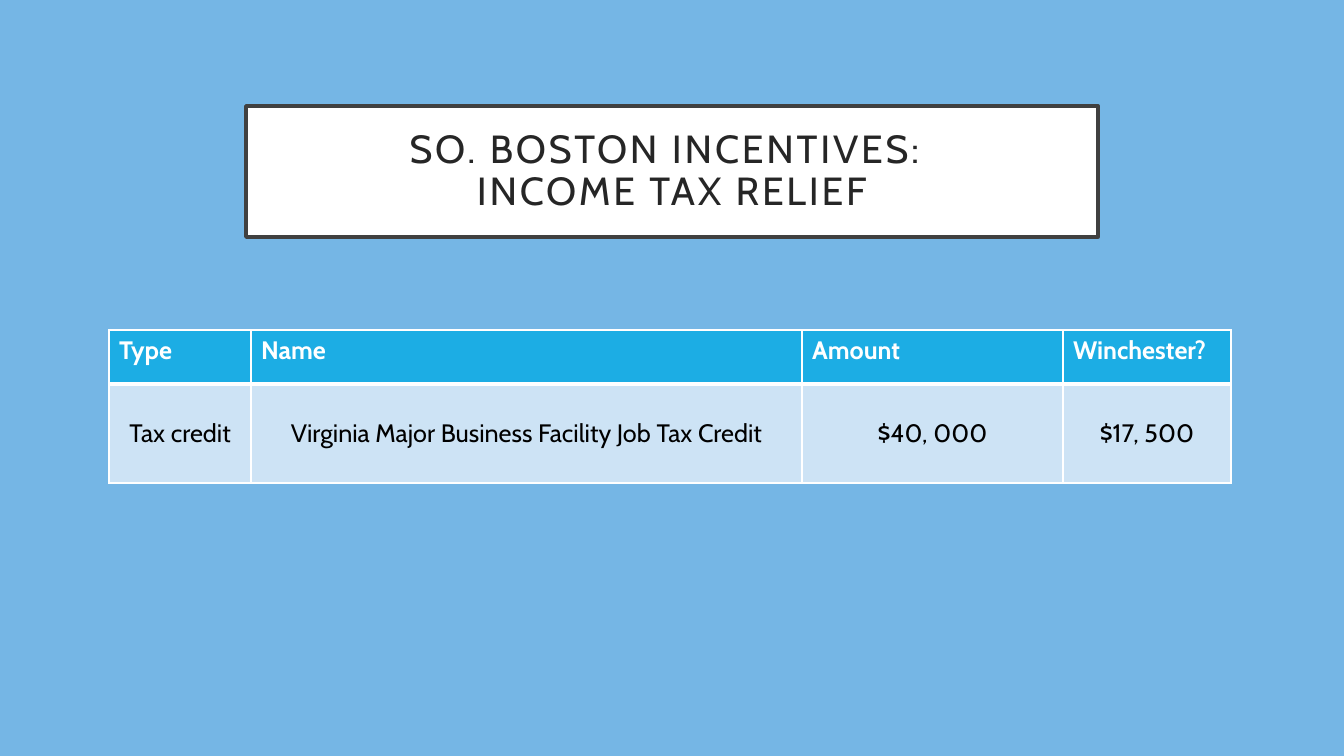
import pptx
import pptx.util
from lxml import etree
from pptx.dml.color import RGBColor
from pptx.enum.text import MSO_ANCHOR, MSO_AUTO_SIZE, PP_ALIGN
from pptx.oxml.ns import qn

PX = 914400 / 100.8
FONT = "Cabin"
SKY = RGBColor(0x75, 0xB6, 0xE5)
WHITE = RGBColor(0xFF, 0xFF, 0xFF)
BLACK = RGBColor(0x00, 0x00, 0x00)
INK = RGBColor(0x26, 0x26, 0x26)
FRAME = RGBColor(0x40, 0x40, 0x40)
HEADER_BLUE = RGBColor(0x1C, 0xAD, 0xE4)
PALE_BLUE = RGBColor(0xCD, 0xE3, 0xF5)


def px(n):
    return pptx.util.Emu(round(n * PX))


def add_border(cell, side, points):
    tcPr = cell._tc.get_or_add_tcPr()
    ln = etree.SubElement(tcPr, qn(f"a:ln{side}"), w=str(pptx.util.Pt(points)))
    fill = etree.SubElement(ln, qn("a:solidFill"))
    etree.SubElement(fill, qn("a:srgbClr"), val=str(WHITE))


prs = pptx.Presentation()
prs.slide_width, prs.slide_height = px(1344), px(756)
s = prs.slides.add_slide(prs.slide_layouts[5])
s.background.fill.solid()
s.background.fill.fore_color.rgb = SKY

# Title
title = s.shapes.title
title.left, title.top, title.width, title.height = px(246), px(106), px(852), px(131)
title.fill.solid()
title.fill.fore_color.rgb = WHITE
title.line.color.rgb = FRAME
title.line.width = pptx.util.Pt(2.5)
tf = title.text_frame
tf.text = "SO. BOSTON INCENTIVES: \vINCOME TAX RELIEF"
tf.word_wrap = True
tf.auto_size = MSO_AUTO_SIZE.NONE
tf.vertical_anchor = MSO_ANCHOR.MIDDLE
tf.margin_left = tf.margin_right = tf.margin_top = tf.margin_bottom = px(20)
p = tf.paragraphs[0]
p.alignment = PP_ALIGN.CENTER
p.line_spacing = 0.9
for r in p.runs:
    r.font.name = FONT
    r.font.size = pptx.util.Pt(28)
    r.font.color.rgb = INK
    r._r.get_or_add_rPr().set("spc", "200")

# Incentives table
rows = [
    ["Type", "Name", "Amount", "Winchester?"],
    ["Tax credit", "Virginia Major Business Facility Job Tax Credit", "$40, 000", "$17, 500"],
]
col_widths = [142, 551, 261, 168]
row_heights = [54, 99]
table = s.shapes.add_table(len(rows), len(col_widths), px(109), px(330),
                           px(sum(col_widths)), px(sum(row_heights))).table
for column, width in zip(table.columns, col_widths):
    column.width = px(width)
for row, height in zip(table.rows, row_heights):
    row.height = px(height)

for i, texts in enumerate(rows):
    header = i == 0
    for j, text in enumerate(texts):
        cell = table.cell(i, j)
        for side in "LRTB":
            heavy = side == ("B" if header else "T")
            add_border(cell, side, 3 if heavy else 1)
        cell.fill.solid()
        cell.fill.fore_color.rgb = HEADER_BLUE if header else PALE_BLUE
        cell.vertical_anchor = MSO_ANCHOR.TOP if header else MSO_ANCHOR.MIDDLE
        p = cell.text_frame.paragraphs[0]
        p.text = text
        p.alignment = PP_ALIGN.LEFT if header else PP_ALIGN.CENTER
        font = p.runs[0].font
        font.name = FONT
        font.size = pptx.util.Pt(18)
        font.bold = header
        font.color.rgb = WHITE if header else BLACK

prs.save("out.pptx")
